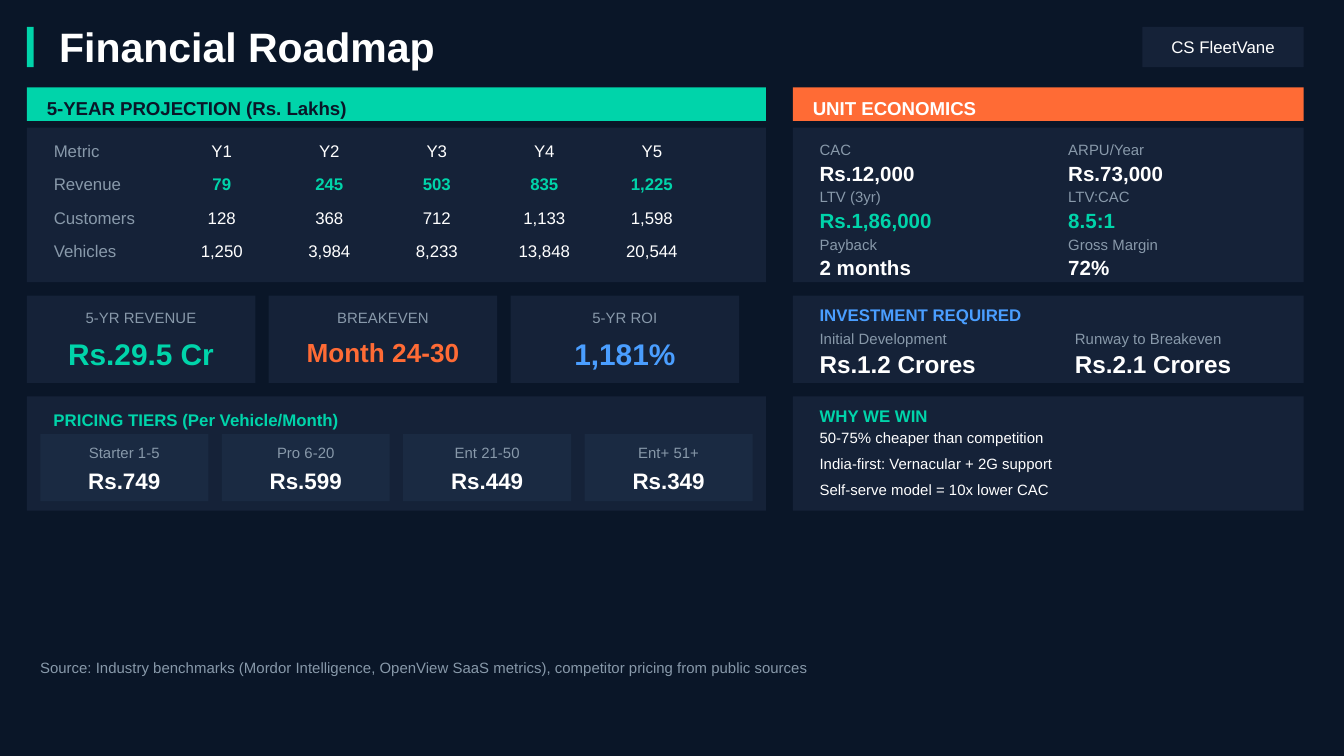
from pptx import Presentation
from pptx.dml.color import RGBColor
from pptx.enum.shapes import MSO_SHAPE as Shape
from pptx.enum.text import MSO_ANCHOR as Anchor, MSO_AUTO_SIZE as AutoSize, PP_ALIGN as Align
from pptx.oxml.ns import qn
from pptx.util import Pt

PX = 9144  # EMU per px, 100 px to the inch
FONT = "Arial"
NO_GRID_STYLE = "{2D5ABB26-0587-4C30-8999-92F81FD0307C}"
COLORS = {
    "night": "0A1628", "panel": "152238", "tier": "1A2A42", "white": "FFFFFF",
    "grey": "8899AA", "green": "00D4AA", "orange": "FF6B35", "blue": "4A9EFF",
}

TITLE = "Financial Roadmap"
COMPANY = "CS FleetVane"
SOURCE = ("Source: Industry benchmarks (Mordor Intelligence, OpenView SaaS metrics), "
          "competitor pricing from public sources")
# heading, left, width, bar colour, text colour
SECTIONS = [
    ("5-YEAR PROJECTION (Rs. Lakhs)", 20, 550, "green", "night"),
    ("UNIT ECONOMICS", 590, 380, "orange", "white"),
]
PROJECTION = [
    ("Metric", "Y1", "Y2", "Y3", "Y4", "Y5"),
    ("Revenue", "79", "245", "503", "835", "1,225"),
    ("Customers", "128", "368", "712", "1,133", "1,598"),
    ("Vehicles", "1,250", "3,984", "8,233", "13,848", "20,544"),
]
HIGHLIGHTS = [
    ("5-YR REVENUE", "Rs.29.5 Cr", 16, "green"),
    ("BREAKEVEN", "Month 24-30", 14, "orange"),
    ("5-YR ROI", "1,181%", 16, "blue"),
]
PRICING_HEADING = "PRICING TIERS (Per Vehicle/Month)"
TIERS = [("Starter 1-5", "Rs.749"), ("Pro 6-20", "Rs.599"),
         ("Ent 21-50", "Rs.449"), ("Ent+ 51+", "Rs.349")]
UNIT_ECONOMICS = [
    ("white", [("CAC", "Rs.12,000"), ("ARPU/Year", "Rs.73,000")]),
    ("green", [("LTV (3yr)", "Rs.1,86,000"), ("LTV:CAC", "8.5:1")]),
    ("white", [("Payback", "2 months"), ("Gross Margin", "72%")]),
]
INVESTMENT_HEADING = "INVESTMENT REQUIRED"
INVESTMENTS = [("Initial Development", "Rs.1.2 Crores"),
               ("Runway to Breakeven", "Rs.2.1 Crores")]
ADVANTAGES_HEADING = "WHY WE WIN"
ADVANTAGES = ["50-75% cheaper than competition",
              "India-first: Vernacular + 2G support",
              "Self-serve model = 10x lower CAC"]


def rgb(color):
    return RGBColor.from_string(COLORS[color])


def emu(*lengths):
    return [length * PX for length in lengths]


def write(frame, words, size, color, bold=False, align=Align.LEFT):
    paragraph = frame.paragraphs[0]
    paragraph.alignment = align
    run = paragraph.add_run()
    run.text = words
    run.font.name = FONT
    run.font.size = Pt(size)
    run.font.bold = bold
    run.font.color.rgb = rgb(color)


def block(left, top, width, height, color="panel"):
    rect = slide.shapes.add_shape(Shape.RECTANGLE, *emu(left, top, width, height))
    rect.shadow.inherit = False
    rect.fill.solid()
    rect.fill.fore_color.rgb = rgb(color)
    rect.line.fill.background()


def label(left, top, width, height, words, size, color, bold=False, align=Align.LEFT):
    frame = slide.shapes.add_textbox(*emu(left, top, width, height)).text_frame
    frame.word_wrap = True
    frame.auto_size = AutoSize.SHAPE_TO_FIT_TEXT
    write(frame, words, size, color, bold, align)


prs = Presentation()
prs.slide_width = 1000 * PX
prs.slide_height = prs.slide_width * 9 // 16
slide = prs.slides.add_slide(prs.slide_layouts[5])
slide.background.fill.solid()
slide.background.fill.fore_color.rgb = rgb("night")

# Header
title = slide.shapes.title
title.left, title.top, title.width, title.height = emu(34, 11, 599, 47)
title.text_frame.vertical_anchor = Anchor.MIDDLE
write(title.text_frame, TITLE, 22, "white", True)
block(20, 20, 5, 30, "green")
block(850, 20, 120, 30)
label(850, 22, 120, 25, COMPANY, 9, "white", align=Align.CENTER)

# Section bars, each above a column of panels
for heading, left, width, bar, ink in SECTIONS:
    block(left, 65, width, 25, bar)
    label(left + 5, 67, width - 10, 20, heading, 10, ink, True)
    block(left, 95, width, 115)
    block(left, 295, width, 85)

# Five-year projection
projection_frame = slide.shapes.add_table(
    len(PROJECTION), len(PROJECTION[0]), *emu(30, 100, 495, 100))
for style in projection_frame.element.iter(qn("a:tableStyleId")):
    style.text = NO_GRID_STYLE
projection = projection_frame.table
projection.first_row = projection.horz_banding = False
for c, column in enumerate(projection.columns):
    column.width = (80 if c else 95) * PX
for r, values in enumerate(PROJECTION):
    projection.rows[r].height = 25 * PX
    for c, value in enumerate(values):
        cell = projection.cell(r, c)
        cell.fill.solid()
        cell.fill.fore_color.rgb = rgb("panel")
        cell.margin_top = cell.margin_bottom = 0
        cell.vertical_anchor = Anchor.MIDDLE
        revenue = values[0] == "Revenue" and c > 0
        color = "green" if revenue else "white" if c else "grey"
        write(cell.text_frame, value, 9, color, revenue, Align.CENTER if c else Align.LEFT)

# Highlight cards
for i, (name, figure, size, color) in enumerate(HIGHLIGHTS):
    left = 20 + 180 * i
    block(left, 220, 170, 65)
    label(left + 5, 225, 160, 15, name, 8, "grey", align=Align.CENTER)
    label(left + 5, 245, 160, 35, figure, size, color, True, Align.CENTER)

# Pricing tiers
label(30, 300, 300, 15, PRICING_HEADING, 9, "green", True)
for i, (tier, price) in enumerate(TIERS):
    left = 30 + 135 * i
    block(left, 323, 125, 50, "tier")
    label(left, 325, 125, 20, tier, 8, "grey", align=Align.CENTER)
    label(left, 343, 125, 25, price, 12, "white", True, Align.CENTER)

# Unit economics
for r, (color, measures) in enumerate(UNIT_ECONOMICS):
    top = 100 + 35 * r
    for c, (measure, figure) in enumerate(measures):
        left = 600 + 185 * c
        label(left, top, 120, 15, measure, 8, "grey")
        label(left, top + 15, 150, 20, figure, 11, color, True)

# Investment required
block(590, 220, 380, 65)
label(600, 222, 200, 15, INVESTMENT_HEADING, 9, "blue", True)
for i, (purpose, amount) in enumerate(INVESTMENTS):
    left, width = 600 + 190 * i, 180 - 10 * i
    label(left, 240, width, 15, purpose, 8, "grey")
    label(left, 255, width, 25, amount, 13, "white", True)

# Why we win
label(600, 297, 200, 15, ADVANTAGES_HEADING, 9, "green", True)
for i, advantage in enumerate(ADVANTAGES):
    label(600, 314 + 39 * i // 2, 360, 15, advantage, 8, "white")

label(20, 485, 950, 20, SOURCE, 8, "grey")
prs.save("out.pptx")
